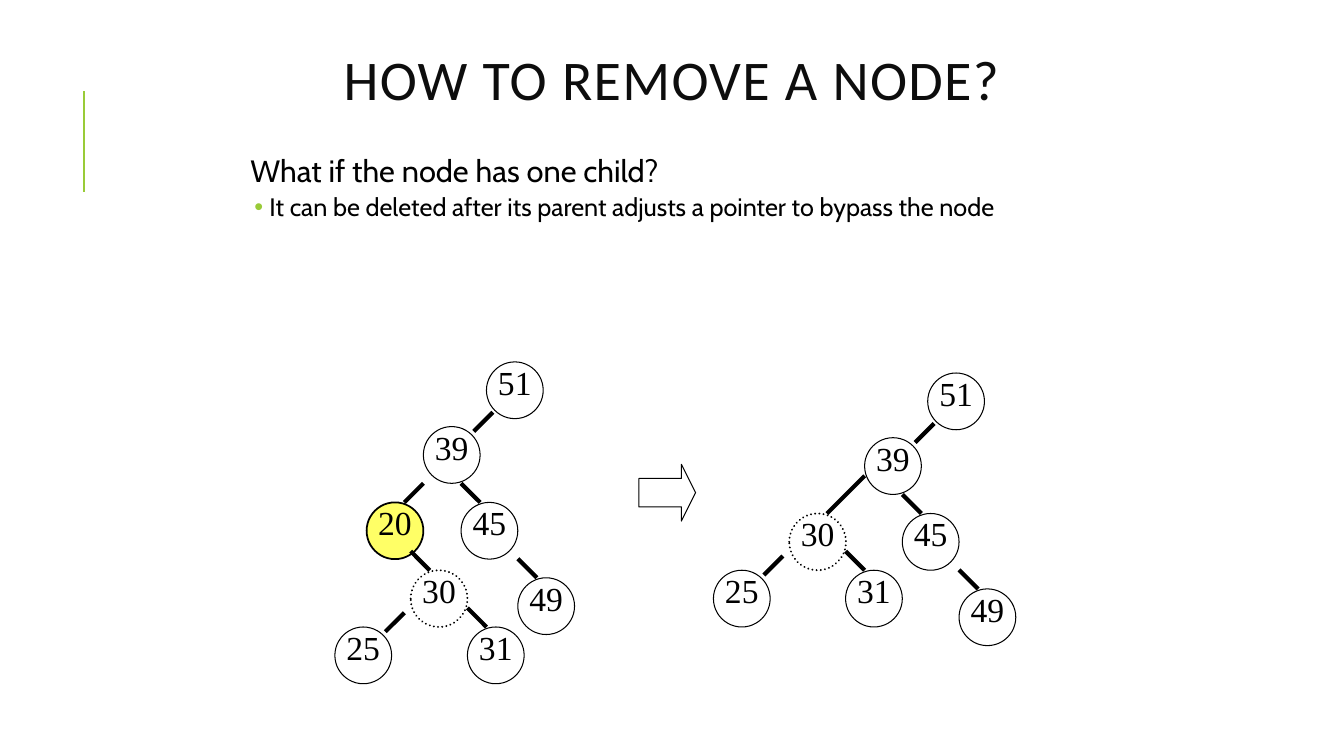
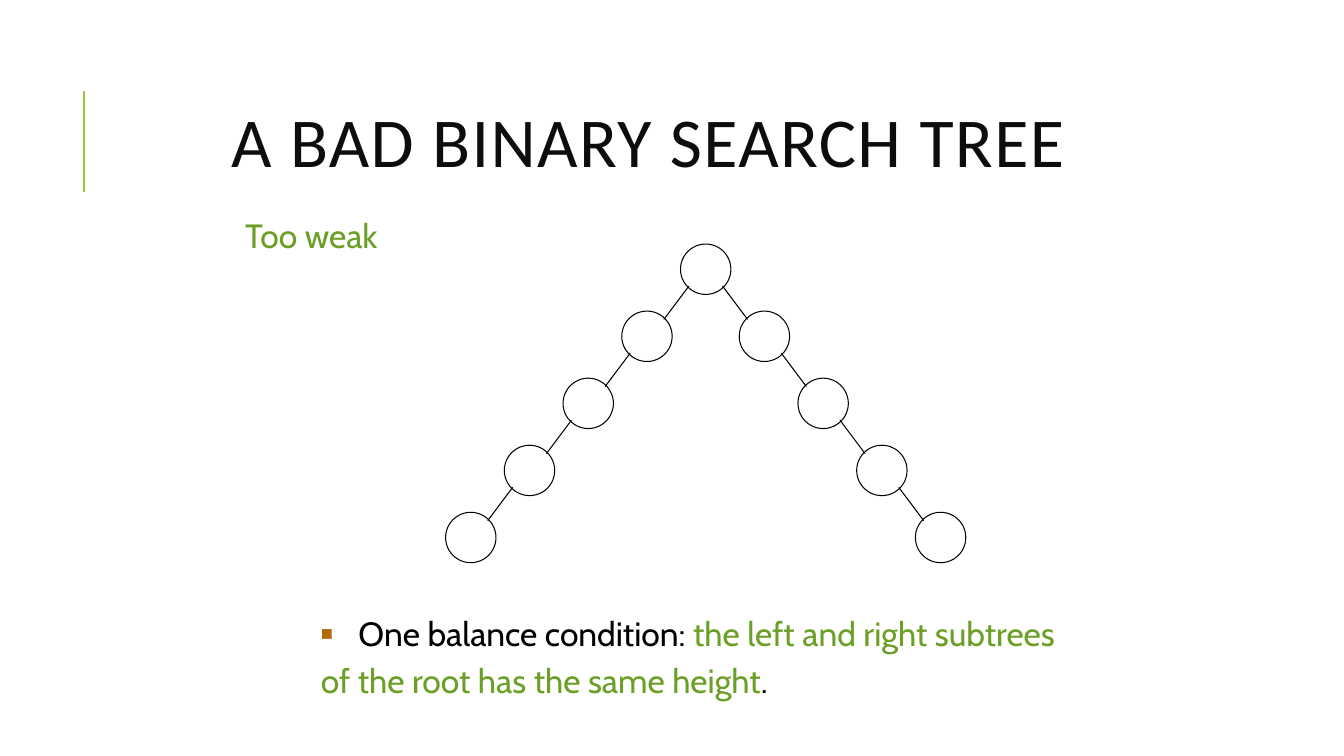
from dataclasses import dataclass

from lxml import etree
from pptx import Presentation
from pptx.dml.color import RGBColor
from pptx.enum.dml import MSO_LINE
from pptx.enum.shapes import MSO_CONNECTOR, MSO_SHAPE
from pptx.enum.text import MSO_ANCHOR, MSO_AUTO_SIZE, PP_ALIGN
from pptx.oxml.ns import qn
from pptx.util import Cm, Pt

STRAIGHT = MSO_CONNECTOR.STRAIGHT
ELLIPSE, RIGHT_ARROW = MSO_SHAPE.OVAL, MSO_SHAPE.RIGHT_ARROW
DOTTED = MSO_LINE.ROUND_DOT
MIDDLE, TOP = MSO_ANCHOR.MIDDLE, MSO_ANCHOR.TOP
CENTER, LEFT = PP_ALIGN.CENTER, PP_ALIGN.LEFT
NO_AUTOFIT = MSO_AUTO_SIZE.NONE
TITLE_AND_CONTENT = 1


@dataclass(frozen=True)
class Theme:
    title_color: str = "0D0D0D"
    ink: str = "000000"
    paper: str = "FFFFFF"
    accent: str = "99CB38"
    emphasis: str = "6B9F25"
    square_bullet: str = "B26B02"
    removed: str = "FFFF66"
    title_font: str = "Calibri"
    body_font: str = "Cabin"
    node_font: str = "Times New Roman"
    question_size: int = 22
    detail_size: int = 18
    text_size: int = 24
    thin: float = 0.75
    medium: float = 1.25
    dotted: float = 1.5
    thick: float = 3


THEME = Theme()

# Edges into a node: anchor x and y from the node's corner, run to the parent.
RIGHT_CHILD = (0.48, 0, -0.48)
LEFT_CHILD = (1.27, 0.12, 0.48)
LEFT_CHILD_TOP = (0.95, 0, 0.48)
BYPASS = (0.95, 0, 0.95)

NODE_DIAMETER = 1.43


@dataclass(frozen=True)
class Node:
    label: str
    x: float
    y: float
    edge: tuple = ()
    fill: str = THEME.paper
    width: float = THEME.thin
    dash: object = None


TREE_BEFORE = [
    Node("51", 3.83, 0),
    Node("39", 2.24, 1.63, LEFT_CHILD),
    Node("20", 0.81, 3.54, LEFT_CHILD_TOP, THEME.removed, THEME.medium),
    Node("45", 3.19, 3.54, RIGHT_CHILD),
    Node("49", 4.62, 5.44, RIGHT_CHILD),
    Node("30", 1.92, 5.25, RIGHT_CHILD, width=THEME.dotted, dash=DOTTED),
    Node("31", 3.35, 6.68, RIGHT_CHILD),
    Node("25", 0.01, 6.68, LEFT_CHILD),
]
TREE_AFTER = [
    Node("51", 5.4, 0),
    Node("39", 3.81, 1.63, LEFT_CHILD),
    Node("45", 4.76, 3.54, RIGHT_CHILD),
    Node("49", 6.19, 5.44, RIGHT_CHILD),
    Node("30", 1.91, 3.54, BYPASS, width=THEME.dotted, dash=DOTTED),
    Node("31", 3.33, 4.97, RIGHT_CHILD),
    Node("25", 0, 4.97, LEFT_CHILD),
]


def color(value):
    return RGBColor.from_string(value)


def style_run(run, font, size, text_color):
    run.font.name = font
    run.font.size = Pt(size)
    run.font.color.rgb = color(text_color)


def place(shape, left, top, width, height):
    shape.left, shape.top = Cm(left), Cm(top)
    shape.width, shape.height = Cm(width), Cm(height)


def set_margins(text_frame, horizontal, vertical):
    text_frame.margin_left = text_frame.margin_right = Cm(horizontal)
    text_frame.margin_top = text_frame.margin_bottom = Cm(vertical)


def set_bullet(paragraph, margin, indent, character=None, bullet_color=None, percent=100):
    """Set the indents in cm, with a coloured bullet or none."""
    properties = paragraph._p.get_or_add_pPr()
    properties.set("marL", str(Cm(margin)))
    properties.set("indent", str(Cm(indent)))
    if character is None:
        etree.SubElement(properties, qn("a:buNone"))
        return
    fill = etree.SubElement(properties, qn("a:buClr"))
    etree.SubElement(fill, qn("a:srgbClr"), val=bullet_color)
    etree.SubElement(properties, qn("a:buSzPct"), val=str(percent * 1000))
    etree.SubElement(properties, qn("a:buFont"), typeface="Arial")
    etree.SubElement(properties, qn("a:buChar"), char=character)


def space(paragraph, before, after, lines):
    paragraph.space_before, paragraph.space_after = Pt(before), Pt(after)
    paragraph.line_spacing = lines
    paragraph.alignment = LEFT


def add_line(shapes, start, end, line_color, width):
    ends = [Cm(value) for value in (*start, *end)]
    line = shapes.add_connector(STRAIGHT, *ends)
    line.line.color.rgb = color(line_color)
    line.line.width = Pt(width)
    etree.SubElement(line.element.spPr, qn("a:effectLst"))
    return line


def add_outlined(shapes, kind, left, top, size, fill=None, width=THEME.thin):
    shape = shapes.add_shape(kind, Cm(left), Cm(top), Cm(size), Cm(size))
    shape.shadow.inherit = False
    if fill is None:
        shape.fill.background()
    else:
        shape.fill.solid()
        shape.fill.fore_color.rgb = color(fill)
    shape.line.color.rgb = color(THEME.ink)
    shape.line.width = Pt(width)
    return shape


def add_master_accent(presentation, slide):
    """Draw the accent line and move it to the master, for every slide."""
    line = add_line(slide.shapes, (2.12, 4.83), (2.12, 2.29), THEME.accent, 1.5)
    line.element.xpath("p:nvCxnSpPr/p:cNvPr")[0].set("id", "100")
    presentation.slide_master.shapes.element.append(line.element)


def add_titled_slide(presentation, title_text, size, box):
    layout = presentation.slide_layouts[TITLE_AND_CONTENT]
    slide = presentation.slides.add_slide(layout)
    title = slide.shapes.title
    place(title, *box)
    frame = title.text_frame
    frame.text = title_text
    frame.auto_size = NO_AUTOFIT
    frame.vertical_anchor = MIDDLE
    paragraph = frame.paragraphs[0]
    paragraph.alignment = CENTER
    paragraph.line_spacing = 0.8
    run = paragraph.runs[0]
    style_run(run, THEME.title_font, size, THEME.title_color)
    run._r.get_or_add_rPr().set("spc", "100")
    return slide


def prepare_body(slide, box):
    body = slide.placeholders[1]
    place(body, *box)
    frame = body.text_frame
    frame.auto_size = NO_AUTOFIT
    frame.vertical_anchor = TOP
    return frame


def fill_question(slide, box):
    frame = prepare_body(slide, box)
    set_margins(frame, 0.13, 0.13)
    frame.text = "What if the node has one child?"
    question, detail = frame.paragraphs[0], frame.add_paragraph()
    detail.text = "It can be deleted after its parent adjusts a pointer to bypass the node"
    detail.level = 1
    set_bullet(question, 0.25, 0)
    set_bullet(detail, 0.73, -0.38, "•", THEME.accent)
    space(question, 0, 2, 0.9)
    space(detail, 1.5, 4, 0.9)
    style_run(question.runs[0], THEME.body_font, THEME.question_size, THEME.ink)
    style_run(detail.runs[0], THEME.body_font, THEME.detail_size, THEME.ink)


def fill_balance_condition(slide, box):
    frame = prepare_body(slide, box)
    lines = [
        [("One balance condition: ", THEME.ink),
         ("the left and right subtrees", THEME.emphasis)],
        [("of the root has the same height", THEME.emphasis), (".", THEME.ink)],
    ]
    first, second = frame.paragraphs[0], frame.add_paragraph()
    set_bullet(first, 0.95, -0.95, "■", THEME.square_bullet, 60)
    set_bullet(second, 0.95, -0.95)
    space(first, 0, 0, 1.0)
    space(second, 4.8, 0, 1.0)
    for paragraph, parts in zip((first, second), lines):
        for text, text_color in parts:
            run = paragraph.add_run()
            run.text = text
            style_run(run, THEME.body_font, THEME.text_size, text_color)


def add_remark(slide, text, box):
    remark = slide.shapes.add_textbox(*[Cm(value) for value in box])
    frame = remark.text_frame
    frame.word_wrap = True
    frame.text = text
    style_run(frame.paragraphs[0].runs[0], THEME.body_font, THEME.text_size, THEME.emphasis)


def add_node(shapes, node, left, top):
    circle = add_outlined(shapes, ELLIPSE, left, top, NODE_DIAMETER, node.fill, node.width)
    if node.dash is not None:
        circle.line.dash_style = node.dash
        circle.element.spPr.find(qn("a:ln")).set("cap", "rnd")
    frame = circle.text_frame
    set_margins(frame, 0, 0)
    frame.margin_bottom = Cm(0.42)
    frame.word_wrap = False
    frame.vertical_anchor = MIDDLE
    frame.text = node.label
    frame.paragraphs[0].alignment = CENTER
    style_run(frame.paragraphs[0].runs[0], THEME.node_font, THEME.text_size, THEME.ink)


def add_labelled_tree(slide, nodes, left, top):
    for node in nodes:
        add_node(slide.shapes, node, left + node.x, top + node.y)
    for node in nodes:
        if node.edge:
            anchor_x, anchor_y, run = node.edge
            x, y = left + node.x + anchor_x, top + node.y + anchor_y
            add_line(slide.shapes, (x + run, y - abs(run)), (x, y), THEME.ink, THEME.thick)


def add_two_armed_tree(slide, left, top, levels=5):
    """Draw a root with one straight chain of empty nodes on each side."""
    diameter, step_x, step_y, inset = 1.27, 1.48, 1.69, 0.21
    radius = diameter / 2
    reach = radius - inset
    root_x, root_y = left + (levels - 1) * step_x + radius, top + radius
    shapes = slide.shapes
    add_outlined(shapes, ELLIPSE, root_x - radius, top, diameter)
    for side in (-1, 1):
        for level in range(1, levels):
            x, y = root_x + side * level * step_x, root_y + level * step_y
            add_outlined(shapes, ELLIPSE, x - radius, y - radius, diameter)
            parent_end = (x - side * (step_x - reach), y - step_y + reach)
            add_line(shapes, parent_end, (x - side * reach, y - reach), THEME.ink, THEME.thin)


def build_removal_slide(presentation):
    slide = add_titled_slide(presentation, "HOW TO REMOVE A NODE?", 40, (5.5, 1.27, 22.86, 1.7))
    add_master_accent(presentation, slide)
    fill_question(slide, (5.93, 3.81, 23.28, 13.12))
    add_labelled_tree(slide, TREE_BEFORE, 8.43, 9.12)
    arrow = add_outlined(slide.shapes, RIGHT_ARROW, 16.1, 11.7, NODE_DIAMETER, THEME.paper)
    arrow.adjustments[0], arrow.adjustments[1] = 0.5, 0.25
    add_labelled_tree(slide, TREE_AFTER, 17.98, 9.4)


def build_bad_tree_slide(presentation):
    slide = add_titled_slide(presentation, "A BAD BINARY SEARCH TREE", 50, (2.84, 1.63, 27, 4.17))
    add_two_armed_tree(slide, 11.23, 6.15)
    fill_balance_condition(slide, (7.83, 15.32, 20.52, 2.51))
    add_remark(slide, "Too weak", (5.93, 5.28, 9.1, 1.27))


def main():
    presentation = Presentation()
    presentation.slide_width, presentation.slide_height = Cm(33.87), Cm(19.05)
    build_removal_slide(presentation)
    build_bad_tree_slide(presentation)
    presentation.save("out.pptx")


if __name__ == "__main__":
    main()
